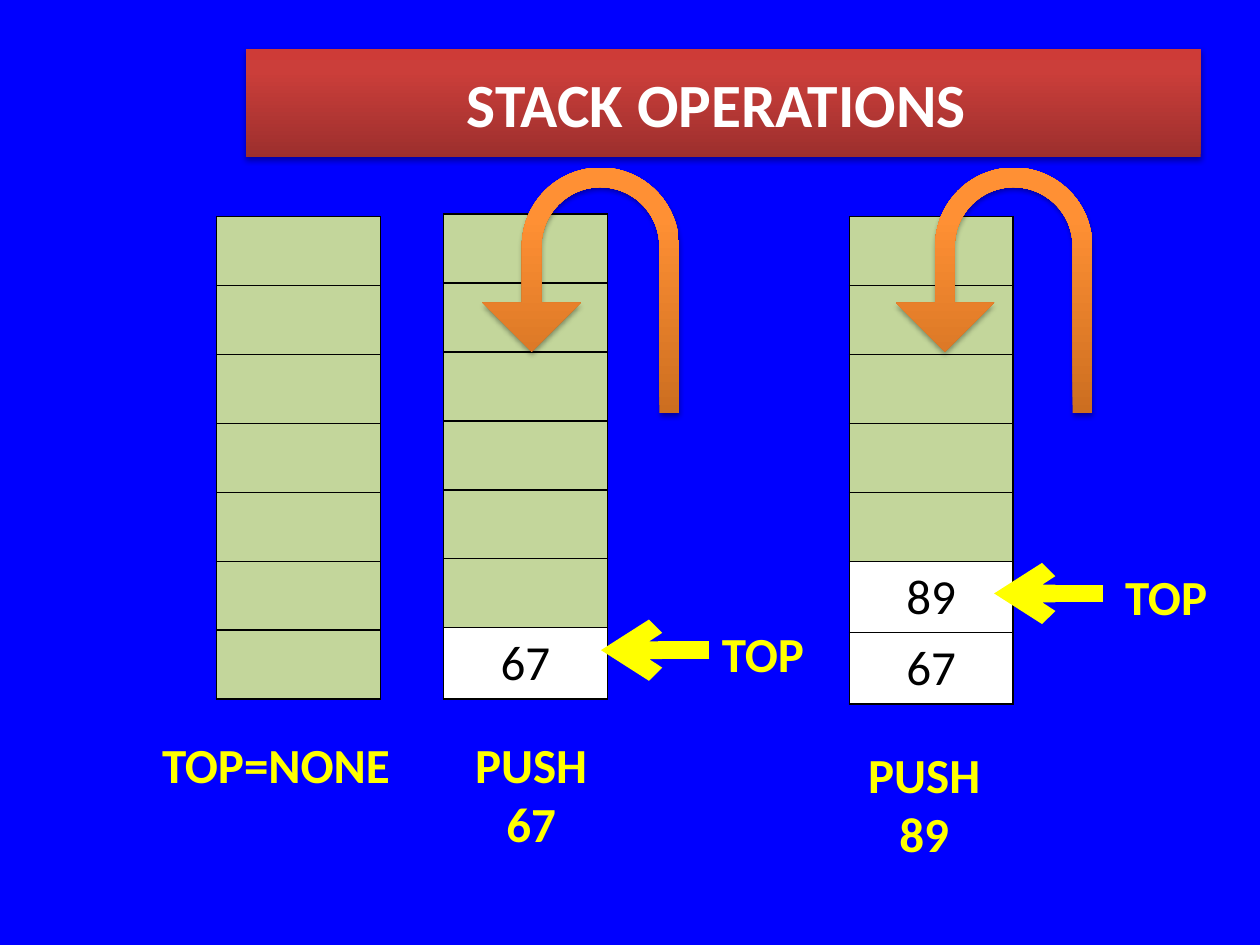
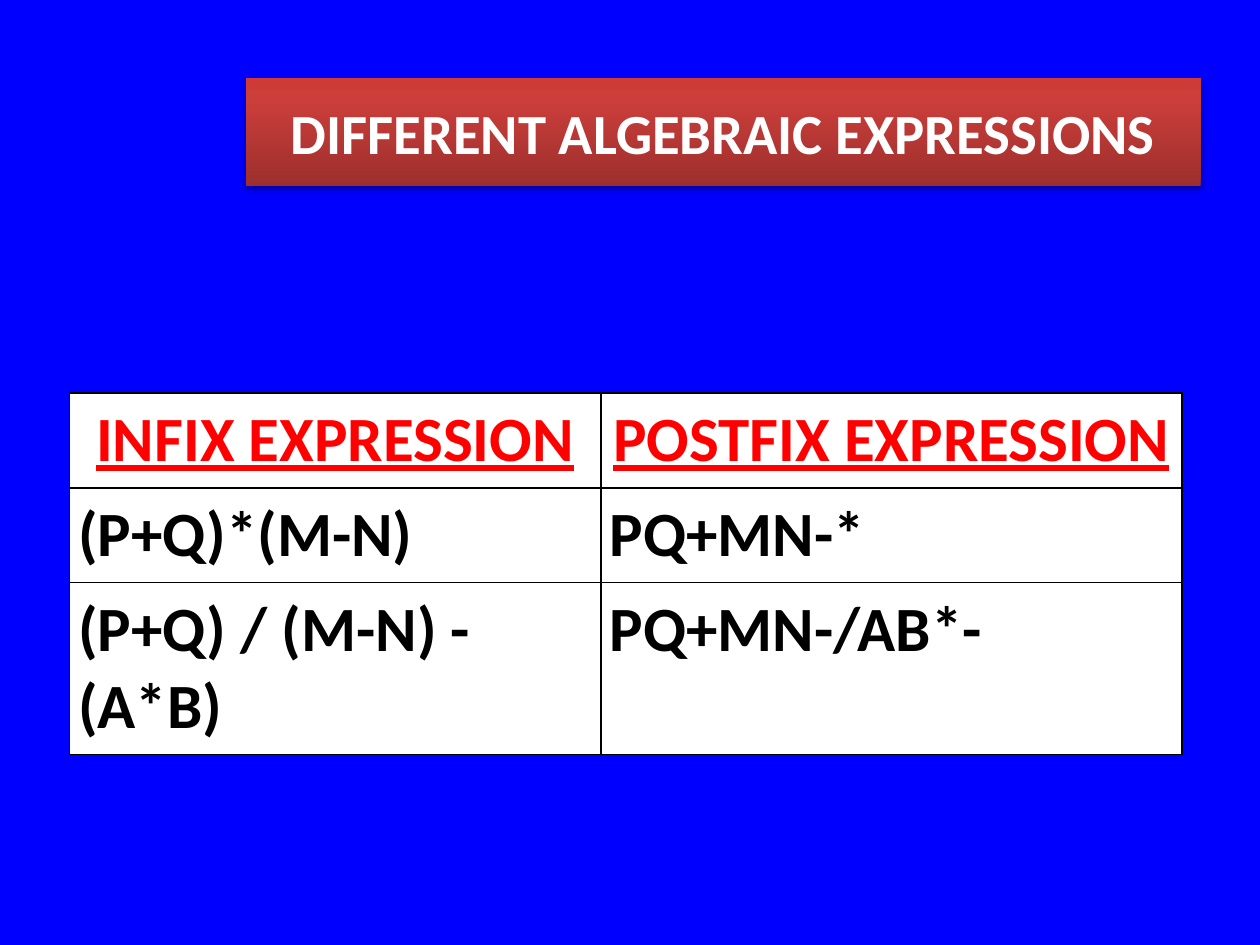
from dataclasses import dataclass

from lxml import etree
from pptx import Presentation, dml, slide as sl, table as tb, util as u
from pptx.dml import color as col
from pptx.enum import shapes as es, text as et
from pptx.oxml import ns
from pptx.text import text as tx

FONT = "Calibri"
BLUE, GREEN, WHITE, BLACK = "0000FF", "C3D69B", "FFFFFF", "000000"
YELLOW, RED = "FFFF00", "FF0000"
RED_FADE = ((0, "9C2F2D"), (80, "CB3E3A"), (100, "CE3B37"))
GOLD_FADE = ((0, "CC6E20"), (80, "FF9034"), (100, "FF9136"))
SLOTS = 7
STACK_W, SLOT_H = 1.3, 3.83 / SLOTS
MID, LEFT = et.PP_ALIGN.CENTER, et.PP_ALIGN.LEFT


@dataclass
class Stack:
    """A stack drawing: its corner, its values from the top down, its caption box."""
    x: float
    y: float
    items: tuple[str, ...]
    label: str
    box: tuple[float, float, float, float]


@dataclass
class Push:
    """Marks of one push: left of the bent arrow, left and top of the TOP label, tip."""
    bend: float
    x: float
    y: float
    tip: float


STACKS = (
    Stack(1.72, 1.72, (), "TOP=NONE", (0.94, 5.78, 2.5, 0.57)),
    Stack(3.52, 1.7, ("67",), "PUSH 67", (3.44, 5.78, 1.55, 1.04)),
    Stack(6.74, 1.72, ("89", "67"), "PUSH 89", (6.56, 5.86, 1.55, 1.04)),
)
PUSHES = (Push(3.83, 5.47, 4.9, 4.77), Push(7.11, 8.67, 4.45, 7.89))
TERMS = (
    ("INFIX EXPRESSION", "POSTFIX EXPRESSION"),
    ("(P+Q)*(M-N)", "PQ+MN-*"),
    ("(P+Q) / (M-N) - (A*B)", "PQ+MN-/AB*-"),
)


def rgb(code: str) -> col.RGBColor:
    """Turn a hex string into a colour."""
    return col.RGBColor.from_string(code)


def node(root, tag: str, **attrs):
    """Add a child element with attributes."""
    return etree.SubElement(root, ns.qn(tag), {k: str(v) for k, v in attrs.items()})


def write(frame: tx.TextFrame, words: str, size: float, code: str,
          bold: bool = True, line: bool = False, align=MID) -> tx._Paragraph:
    """Write one run into the first paragraph of a frame."""
    para = frame.paragraphs[0]
    para.alignment = align
    run = para.add_run()
    run.text = words
    font = run.font
    font.name, font.size, font.bold = FONT, u.Pt(size), bold
    font.underline = line
    font.color.rgb = rgb(code)
    return para


def shade(shape, stops: tuple) -> None:
    """Give a shape an upward gradient, no outline and a soft drop shadow."""
    shape.fill.gradient()
    shape.fill.gradient_angle = 90
    root = shape.element.spPr
    group = root.find(".//" + ns.qn("a:gsLst"))
    for old in list(group):
        group.remove(old)
    for place, code in stops:
        stop = node(group, "a:gs", pos=place * 1000)
        node(stop, "a:srgbClr", val=code)
    shape.line.fill.background()
    shape.shadow.inherit = False
    drop = node(root.find(ns.qn("a:effectLst")), "a:outerShdw", blurRad=u.Pt(3.1),
                dist=u.Pt(1.8), dir=5400000, rotWithShape=0)
    node(node(drop, "a:srgbClr", val=BLACK), "a:alpha", val=35000)


def head(page: sl.Slide, words: str, top: float, size: float) -> None:
    """Place the title as a red band."""
    band = page.shapes.title
    band.left, band.top = u.Inches(1.95), u.Inches(top)
    band.width, band.height = u.Inches(7.58), u.Inches(0.86)
    shade(band, RED_FADE)
    frame = band.text_frame
    frame.auto_size = et.MSO_AUTO_SIZE.NONE
    frame.vertical_anchor = et.MSO_ANCHOR.MIDDLE
    props = write(frame, words, size, WHITE)._p.get_or_add_pPr()
    props.set("marL", str(u.Inches(0.56)))
    props.set("indent", str(u.Inches(-0.56)))


def note(page: sl.Slide, words: str, box: tuple) -> None:
    """Add a bold yellow label."""
    frame = page.shapes.add_textbox(*map(u.Inches, box)).text_frame
    frame.word_wrap = True
    write(frame, words, 28, YELLOW)


def paint(cell: tb._Cell, code: str) -> None:
    """Fill a cell and rule it in black on all sides."""
    cell.fill.solid()
    cell.fill.fore_color.rgb = rgb(code)
    props = cell._tc.get_or_add_tcPr()
    for spot, side in enumerate(("a:lnL", "a:lnR", "a:lnT", "a:lnB")):
        edge = node(props, side, w=u.Pt(1))
        node(node(edge, "a:solidFill"), "a:srgbClr", val=BLACK)
        props.insert(spot, edge)


def grid(page: sl.Slide, x: float, y: float, cols: tuple, rows: tuple) -> tb.Table:
    """Add a plain table with the given column widths and row heights."""
    box = map(u.Inches, (x, y, sum(cols), sum(rows)))
    table = page.shapes.add_table(len(rows), len(cols), *box).table
    table.first_row = table.horz_banding = False
    for part, wide in zip(table.columns, cols):
        part.width = u.Inches(wide)
    for part, high in zip(table.rows, rows):
        part.height = u.Inches(high)
    return table


def pile(page: sl.Slide, stack: Stack) -> None:
    """Draw a stack with its values at the bottom and its caption."""
    table = grid(page, stack.x, stack.y, (STACK_W,), (SLOT_H,) * SLOTS)
    free = SLOTS - len(stack.items)
    for row in range(SLOTS):
        cell = table.cell(row, 0)
        paint(cell, GREEN if row < free else WHITE)
        if row >= free:
            write(cell.text_frame, stack.items[row - free], 28, BLACK, bold=False)
    note(page, stack.label, stack.box)


def mark(page: sl.Slide, push: Push) -> None:
    """Draw the TOP label, its pointer and the bent push arrow."""
    note(page, "TOP", (push.x, push.y, 1.17, 0.57))
    y = push.y + 0.26
    ends = map(u.Inches, (push.tip + 0.86, y, push.tip, y))
    wire = page.shapes.add_connector(es.MSO_CONNECTOR.STRAIGHT, *ends)
    wire.line.width = u.Pt(10)
    wire.line.color.rgb = rgb(YELLOW)
    node(wire.line._get_or_add_ln(), "a:tailEnd", type="arrow")
    node(wire.element.spPr, "a:effectLst")

    box = map(u.Inches, (push.bend, 1.33, 1.56, 1.95))
    bend = page.shapes.add_shape(es.MSO_SHAPE.U_TURN_ARROW, *box)
    for spot, value in enumerate((0.1, 0.25, 0.25, 0.44, 0.75)):
        bend.adjustments[spot] = value
    bend.element.spPr.xfrm.set("flipH", "1")
    shade(bend, GOLD_FADE)


def terms(page: sl.Slide) -> None:
    """Draw the table of infix and postfix expressions."""
    table = grid(page, 0.55, 3.12, (4.22, 4.61), (0.74, 0.74, 1.35))
    for row, line in enumerate(TERMS):
        top = row == 0
        for place, words in enumerate(line):
            cell = table.cell(row, place)
            paint(cell, WHITE)
            cell.margin_left = cell.margin_right = u.Inches(0.07)
            cell.margin_top = cell.margin_bottom = u.Inches(0.07)
            write(cell.text_frame, words, 36, RED if top else BLACK,
                  line=top, align=MID if top else LEFT)


def main() -> None:
    """Build and save both slides."""
    deck = Presentation()
    deck.slide_width, deck.slide_height = u.Inches(10), u.Inches(7.5)
    back = deck.slide_master.background.fill
    back.solid()
    back.fore_color.rgb = rgb(BLUE)
    plain = deck.slide_layouts[5]

    page = deck.slides.add_slide(plain)
    head(page, "STACK OPERATIONS ", 0.39, 35.1)
    for stack in STACKS:
        pile(page, stack)
    for push in PUSHES:
        mark(page, push)

    page = deck.slides.add_slide(plain)
    head(page, "DIFFERENT ALGEBRAIC EXPRESSIONS", 0.62, 32.4)
    terms(page)
    deck.save("out.pptx")


main()
